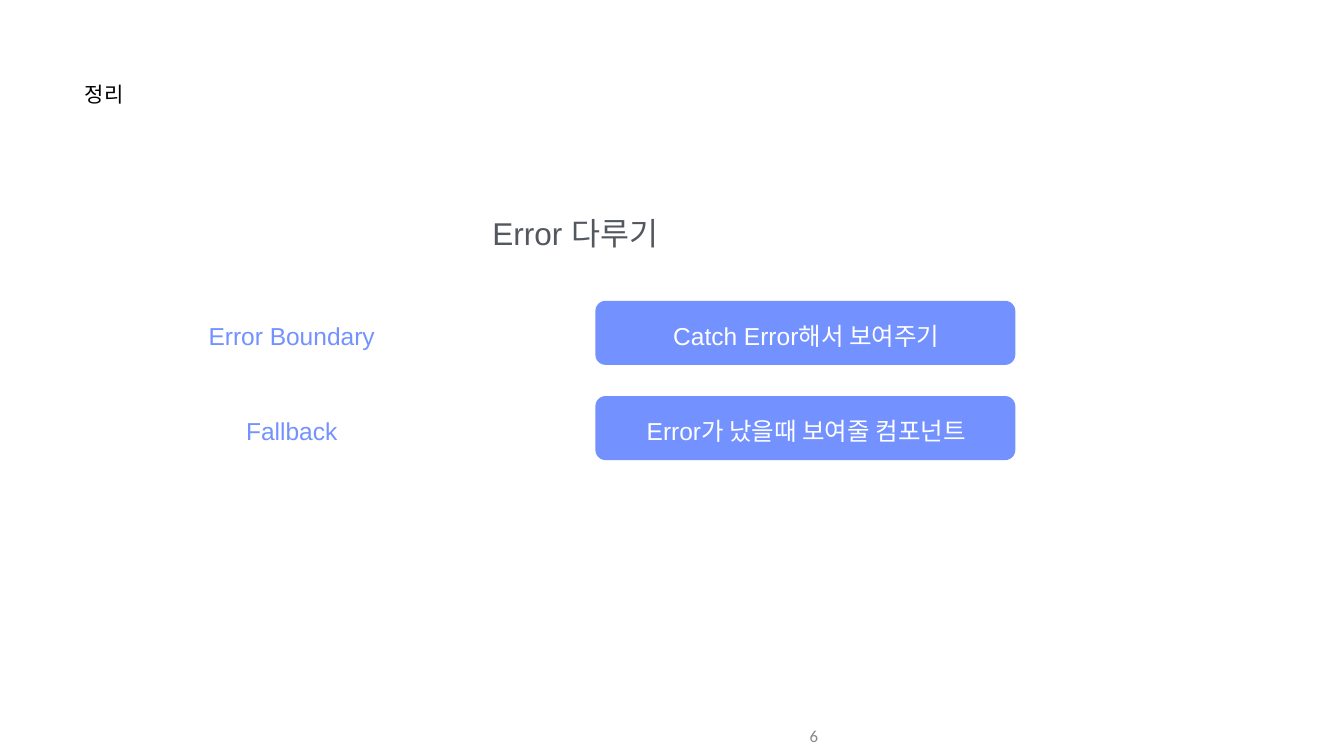
"""Build the summary slide on handling errors."""
from pptx import Presentation
from pptx.dml.color import RGBColor
from pptx.enum import shapes, text
from pptx.util import Cm, Pt

BLUE = RGBColor(0x73, 0x91, 0xFF)
WHITE = RGBColor(0xFF, 0xFF, 0xFF)
BLACK = RGBColor(0x00, 0x00, 0x00)
SLATE = RGBColor(0x53, 0x58, 0x5F)
GRAY = RGBColor(0x88, 0x88, 0x88)
LEFT, MID, RIGHT = text.PP_ALIGN.LEFT, text.PP_ALIGN.CENTER, text.PP_ALIGN.RIGHT
TOP, CENTER = text.MSO_ANCHOR.TOP, text.MSO_ANCHOR.MIDDLE


def write(box, words, size, color, align=MID, anchor=CENTER, font="Arial", pad=(0.03, 0.03)):
    frame = box.text_frame
    frame.word_wrap = True
    frame.auto_size = text.MSO_AUTO_SIZE.NONE
    frame.vertical_anchor = anchor
    frame.margin_left = frame.margin_right = Cm(pad[0])
    frame.margin_top = frame.margin_bottom = Cm(pad[1])
    para = frame.paragraphs[0]
    para.alignment = align
    run = para.add_run()
    run.text = words
    run.font.name = font
    run.font.size = Pt(size)
    run.font.color.rgb = color


def place(left, top, width, height):
    return slide.shapes.add_textbox(Cm(left), Cm(top), Cm(width), Cm(height))


deck = Presentation()
deck.slide_width, deck.slide_height = Cm(67.72), Cm(38.1)
slide = deck.slides.add_slide(deck.slide_layouts[5])

title = slide.shapes.title
title.left, title.top, title.width, title.height = Cm(4.24), Cm(4.06), Cm(12.34), Cm(3)
write(title, "정리", 30, BLACK, LEFT, TOP)

write(place(6.71, 10.77, 44.55, 2.01), "Error 다루기", 45, SLATE, anchor=TOP)

rows = [
    ("Error Boundary", "Catch Error해서 보여주기"),
    ("Fallback", "Error가 났을때 보여줄 컴포넌트"),
]
for i, (term, note) in enumerate(rows):
    top = 15.16 + i * 4.8
    card = slide.shapes.add_shape(
        shapes.MSO_SHAPE.ROUNDED_RECTANGLE, Cm(30), Cm(top), Cm(21.16), Cm(3.23))
    card.adjustments[0] = 0.16
    card.shadow.inherit = False
    card.fill.solid()
    card.fill.fore_color.rgb = BLUE
    card.line.fill.background()
    write(place(6.76, top + 0.97, 15.88, 1.57), term, 35, BLUE)
    write(place(30.05, top + 0.97, 21.16, 1.57), note, 35, WHITE)

write(place(26.24, 36.09, 15.24, 2.01), "6", 24, GRAY, RIGHT, font="Calibri", pad=(0.25, 0.13))

deck.save("out.pptx")
